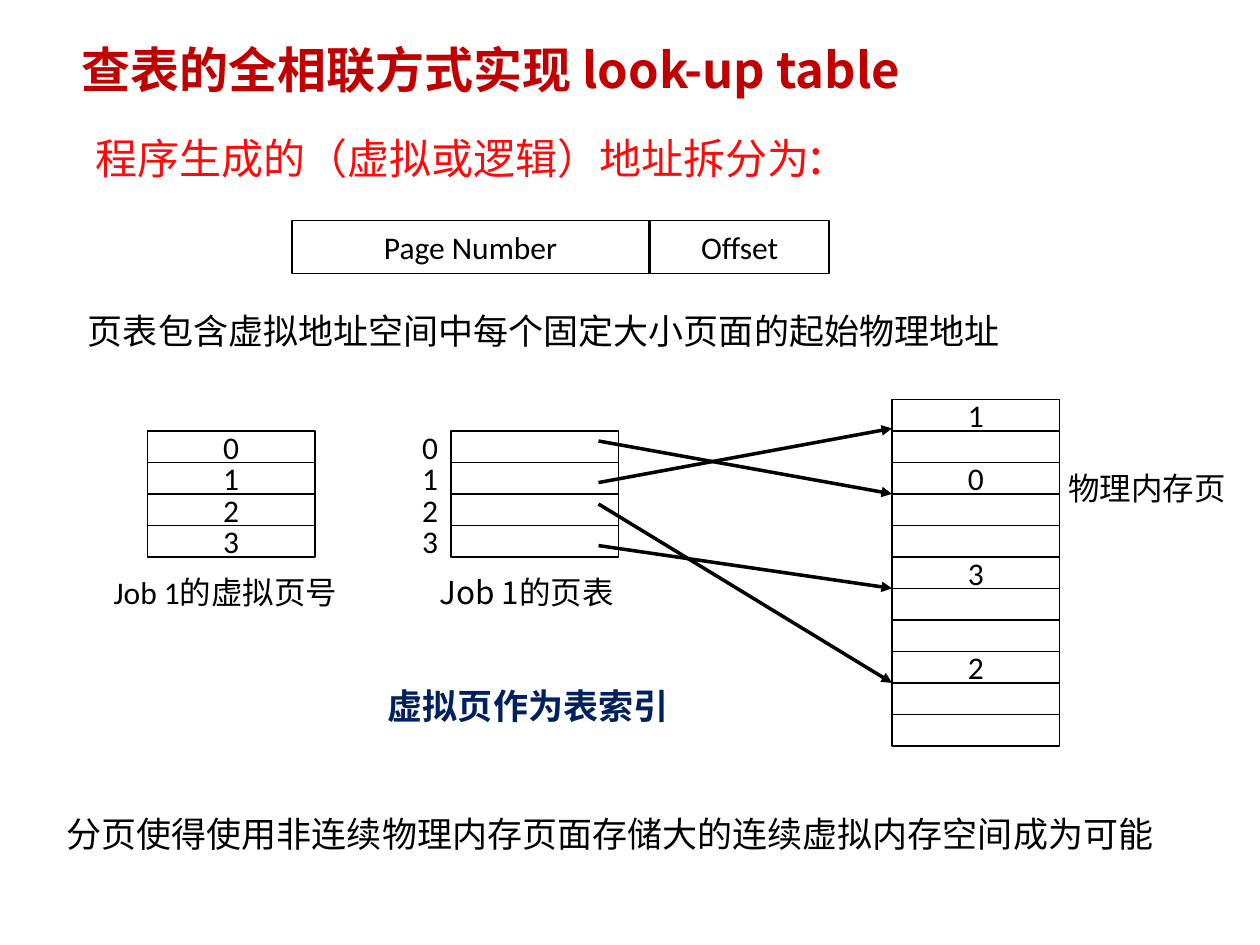
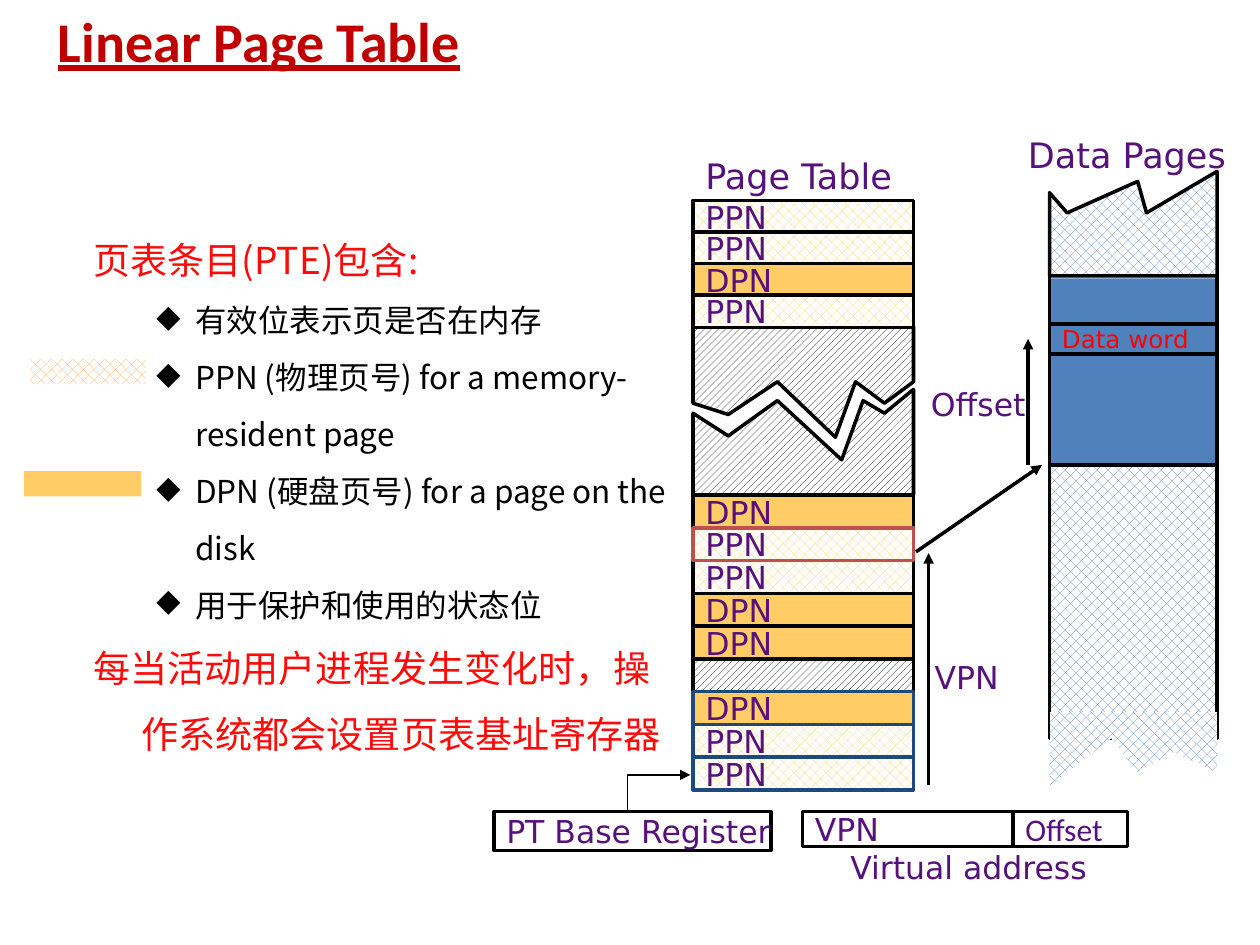
from lxml import etree
from pptx import Presentation
from pptx.dml.color import RGBColor
from pptx.enum.dml import MSO_PATTERN
from pptx.enum.shapes import MSO_CONNECTOR, MSO_SHAPE
from pptx.enum.text import MSO_ANCHOR, MSO_AUTO_SIZE, PP_ALIGN
from pptx.oxml.ns import qn
from pptx.util import Inches, Pt

BLACK = RGBColor(0x00, 0x00, 0x00)
WHITE = RGBColor(0xFF, 0xFF, 0xFF)
TITLE_RED = RGBColor(0xC0, 0x00, 0x00)
HEADING_RED = RGBColor(0xFF, 0x09, 0x09)
WORD_RED = RGBColor(0xFF, 0x00, 0x00)
NAVY = RGBColor(0x00, 0x20, 0x60)
PURPLE = RGBColor(0x56, 0x12, 0x7A)
DATA_BLUE = RGBColor(0x4F, 0x81, 0xBD)
ORANGE = RGBColor(0xFF, 0xCC, 0x66)
DEEP_ORANGE = RGBColor(0xFF, 0xA7, 0x4F)
ROW_BLUE = RGBColor(0x1F, 0x49, 0x7D)
ROW_RED = RGBColor(0xC0, 0x50, 0x4D)

RECTANGLE = MSO_SHAPE.RECTANGLE
STRAIGHT = MSO_CONNECTOR.STRAIGHT
DOTS, HATCH = map(MSO_PATTERN.from_xml, ("pct40", "wdUpDiag"))
LEFT, CENTER = PP_ALIGN.LEFT, PP_ALIGN.CENTER
TOP, MIDDLE = MSO_ANCHOR.TOP, MSO_ANCHOR.MIDDLE
NO_FIT, GROW = MSO_AUTO_SIZE.NONE, MSO_AUTO_SIZE.SHAPE_TO_FIT_TEXT

CJK = "Noto Sans CJK SC"
LATIN = "Calibri"
DEJAVU = "DejaVu Sans"
PAGE_FILL = (DOTS, ORANGE)
DATA_FILL = (DOTS, DATA_BLUE)
GAP_FILL = (HATCH, BLACK)
MARGINS = ("margin_left", "margin_top", "margin_right", "margin_bottom")
LABEL = {"name": DEJAVU, "size": Pt(18)}
BODY = {"name": CJK, "size": Pt(20)}
CELL = {"name": LATIN, "size": Pt(18)}


def apply(target, values):
    """Set each attribute named in the dict of values."""
    for name, value in values.items():
        setattr(target, name, value)


def add_run(paragraph, text, style, color):
    """Append a formatted run that also names the East Asian font."""
    run = paragraph.add_run()
    run.text = text
    apply(run.font, style)
    run.font.color.rgb = color
    latin = run.font._element.find(qn("a:latin"))
    latin.addnext(etree.Element(qn("a:ea"), typeface=CJK))


def write(shape, text, style, color=BLACK, align=LEFT, anchor=TOP,
          wrap=True, fit=NO_FIT, margins=None):
    """Write one formatted paragraph into a shape."""
    frame = shape.text_frame
    apply(frame, {"word_wrap": wrap, "auto_size": fit, "vertical_anchor": anchor})
    if margins is not None:
        apply(frame, dict.fromkeys(MARGINS, Inches(margins)))
    paragraph = frame.paragraphs[0]
    paragraph.alignment = align
    add_run(paragraph, text, style, color)
    return paragraph


def add_text(slide, box, text, style, color=BLACK, **layout):
    """Add a text box and return its paragraph."""
    shape = slide.shapes.add_textbox(*map(Inches, box))
    return write(shape, text, style, color, **layout)


def add_label(slide, box, text, size=18):
    """Add an unwrapped purple label."""
    add_text(slide, box, text, {**LABEL, "size": Pt(size)}, PURPLE,
             anchor=MIDDLE, wrap=False, fit=GROW)


def add_title(slide, box, text, style, margins):
    """Place and format the title placeholder."""
    title = slide.shapes.title
    apply(title, dict(zip(("left", "top", "width", "height"), map(Inches, box))))
    write(title, text, {"bold": True, **style}, TITLE_RED, margins=margins)


def paint(shape, fill, line, weight):
    """Give a shape a solid, patterned or empty fill and a line."""
    shape.shadow.inherit = False
    if fill is None:
        shape.fill.background()
    elif isinstance(fill, RGBColor):
        shape.fill.solid()
        shape.fill.fore_color.rgb = fill
    else:
        shape.fill.patterned()
        shape.fill.pattern, shape.fill.fore_color.rgb = fill
        shape.fill.back_color.rgb = WHITE
    if line is None:
        shape.line.fill.background()
    else:
        shape.line.color.rgb = line
        shape.line.width = Pt(weight)
    return shape


def add_box(slide, box, fill=None, line=BLACK, weight=2):
    """Add a painted rectangle."""
    shape = slide.shapes.add_shape(RECTANGLE, *map(Inches, box))
    return paint(shape, fill, line, weight)


def add_outline(slide, points, fill=None, line=BLACK, weight=2, close=True):
    """Add a painted outline through the points."""
    points = [(Inches(x), Inches(y)) for x, y in points]
    builder = slide.shapes.build_freeform(*points[0])
    builder.add_line_segments(points[1:], close=close)
    return paint(builder.convert_to_shape(), fill, line, weight)


def add_arrowhead(shape):
    """Put a triangle at the end of a line."""
    line = shape._element.spPr.find(qn("a:ln"))
    etree.SubElement(line, qn("a:tailEnd"), type="triangle")


def add_arrow(slide, start, end):
    """Add a straight black arrow."""
    arrow = slide.shapes.add_connector(STRAIGHT, *map(Inches, (*start, *end)))
    arrow.line.color.rgb = BLACK
    arrow.line.width = Pt(2)
    add_arrowhead(arrow)
    etree.SubElement(arrow._element.spPr, qn("a:effectLst"))


def add_cell(slide, box, text="", fill=WHITE, line=BLACK):
    """Add a thin-lined cell with centred text."""
    shape = add_box(slide, box, fill, line, 1)
    if text:
        write(shape, text, CELL, align=CENTER, anchor=MIDDLE, wrap=False, margins=0)


def add_stack(slide, left, top, width, labels, line=BLACK):
    """Stack equal cells downwards."""
    height = 0.25
    for index, text in enumerate(labels):
        add_cell(slide, (left, top + index * height, width, height), text, line=line)


def add_address_split(slide, left, top):
    """Draw the page number and offset fields."""
    add_cell(slide, (left, top, 2.83, 0.42), "Page Number", None)
    add_cell(slide, (left + 2.84, top, 1.42, 0.42), "Offset", None)


def add_page_mapping(slide, left, top):
    """Draw virtual pages, the page table, memory and the arrows between."""
    pages = "0123"
    add_stack(slide, left, top + 0.25, 1.33, pages)
    add_stack(slide, left + 2.08, top + 0.25, 0.33, pages, None)
    add_stack(slide, left + 2.41, top + 0.25, 1.33, [""] * len(pages))
    for start, end in ((0.33, 0.75), (0.66, 0.23), (0.83, 2.25), (1.16, 1.5)):
        add_arrow(slide, (left + 3.58, top + start), (left + 5.91, top + end))
    frames = {0: "1", 2: "0", 5: "3", 8: "2"}
    add_stack(slide, left + 5.91, top, 1.33, [frames.get(row, "") for row in range(11)])
    add_text(slide, (left - 0.59, top + 1.33, 2.42, 0.4), "Job 1的虚拟页号",
             CELL, align=CENTER)
    caption = add_text(slide, (left + 2.21, top + 1.33, 1.6, 0.4), "Job 1的页表",
                       {**CELL, "name": CJK}, align=CENTER)
    caption.line_spacing = Pt(21.7)
    add_text(slide, (left + 7.04, top + 0.5, 1.79, 0.4), "物理内存页",
             {**CELL, "name": CJK}, align=CENTER)


def build_lookup_slide(slide):
    """Build the look-up table slide."""
    add_title(slide, (0.65, 0.31, 8.7, 0.49), "查表的全相联方式实现 look-up table",
              {"name": CJK, "size": Pt(28)}, 0)
    heading = add_text(slide, (0.76, 1, 8.4, 0.94), "程序生成的（虚拟或逻辑）地址拆分为",
                       {"name": CJK, "size": Pt(24)}, HEADING_RED, margins=0)
    add_run(heading, ":", {"name": CJK, "size": Pt(28)}, HEADING_RED)
    add_address_split(slide, 2.32, 1.75)
    add_text(slide, (0.6, 2.41, 7.83, 0.55),
             "页表包含虚拟地址空间中每个固定大小页面的起始物理地址", BODY)
    add_page_mapping(slide, 1.17, 3.17)
    add_text(slide, (2.98, 5.38, 2.52, 0.44), "虚拟页作为表索引",
             {**BODY, "bold": True}, NAVY, wrap=False, fit=GROW)
    add_text(slide, (0.43, 6.4, 9.33, 0.41),
             "分页使得使用非连续物理内存页面存储大的连续虚拟内存空间成为可能", BODY)


def add_field(slide, box, text, fill=WHITE, line=BLACK, style=LABEL, color=PURPLE):
    """Add a heavy-lined box with left-aligned text."""
    shape = add_box(slide, box, fill, line)
    if text:
        write(shape, text, style, color, anchor=MIDDLE, wrap=False)


def add_entries(slide, left, top, step, entries):
    """Stack page table entries, coloured outlines last."""
    fills = {"PPN": PAGE_FILL, "DPN": ORANGE, "": GAP_FILL}
    rows = sorted(enumerate(entries), key=lambda row: row[1][1] != BLACK)
    for index, (text, line) in rows:
        add_field(slide, (left, top + index * step, 1.75, 0.26), text, fills[text], line)


def add_page_table(slide, left, top):
    """Draw the page table with its torn middle."""
    add_label(slide, (left, top - 0.41, 1.72, 0.43), "Page Table", 20)
    right = left + 1.75
    lower = [(0, 2.34), (1.75, 2.34), (1.75, 1.5), (1.52, 1.69), (1.35, 1.59),
             (1.18, 2.06), (0.67, 1.59), (0.28, 1.87), (0, 1.69)]
    upper = [(0, 1.61), (0, 1), (1.75, 1), (1.75, 1.44), (1.52, 1.61),
             (1.29, 1.44), (1.13, 1.88), (0.67, 1.44), (0.28, 1.7)]
    for points in (lower, upper):
        add_outline(slide, [(left + x, top + y) for x, y in points], GAP_FILL)
    add_entries(slide, left, top, 0.25,
                [(text, BLACK) for text in ("PPN", "PPN", "DPN", "PPN")])
    add_entries(slide, left, top + 2.34, 0.26, [
        ("DPN", BLACK), ("PPN", ROW_RED), ("PPN", BLACK), ("DPN", BLACK), ("DPN", BLACK),
        ("", BLACK), ("DPN", ROW_BLUE), ("PPN", ROW_BLUE), ("PPN", ROW_BLUE)])
    add_arrow(slide, (right + 0.12, top + 4.64), (right + 0.12, top + 2.8))
    add_label(slide, (right + 0.07, top + 3.58, 0.71, 0.4), "VPN")


def add_data_pages(slide, left, top):
    """Draw the torn column of data pages and its offset arrow."""
    add_box(slide, (left + 0.01, top + 0.85, 1.31, 1.47), DATA_BLUE, None)
    add_box(slide, (left, top + 0.33, 1.33, 2))
    add_field(slide, (left, top + 1.21, 1.33, 0.24), "Data word", None,
              style={**LABEL, "size": Pt(14)}, color=WORD_RED)
    add_box(slide, (left, top + 2.33, 1.33, 2.17), DATA_FILL)
    bottom = [(0, 4.29), (0, 4.88), (0.49, 4.5), (0.7, 4.77), (0.98, 4.61),
              (1.33, 4.77), (1.33, 4.29)]
    peak = [(0, 0.83), (1.33, 0.83), (1.33, 0), (0.77, 0.33), (0.7, 0.08),
            (0.14, 0.33), (0, 0.17)]
    for points, line in ((bottom, None), (peak, BLACK)):
        add_outline(slide, [(left + x, top + y) for x, y in points], DATA_FILL, line)
    add_label(slide, (left - 0.27, top - 0.35, 1.77, 0.43), "Data Pages", 20)
    add_arrow(slide, (left - 0.17, top + 2.33), (left - 0.17, top + 1.33))
    add_label(slide, (left - 1.04, top + 1.65, 0.95, 0.4), "Offset")


def add_registers(slide, left, top):
    """Draw the base register, its pointer and the virtual address."""
    add_field(slide, (left, top, 2.2, 0.31), "PT Base Register")
    pointer = add_outline(slide, [(left + 1.06, top - 0.01), (left + 1.06, top - 0.29),
                                  (left + 1.56, top - 0.29)], weight=0.75, close=False)
    add_arrowhead(pointer)
    add_field(slide, (left + 2.45, top, 1.67, 0.28), "VPN")
    add_field(slide, (left + 4.12, top, 0.91, 0.28), "Offset", style=CELL)
    add_label(slide, (left + 2.73, top + 0.24, 2.09, 0.4), "Virtual address")


def add_entry_notes(slide, box):
    """Write the red statements and the bulleted entry contents."""
    frame = slide.shapes.add_textbox(*map(Inches, box)).text_frame
    apply(frame, {"word_wrap": True, **dict.fromkeys(MARGINS, 0)})
    notes = [("页表条目(PTE)包含:", False), ("有效位表示页是否在内存", True),
             ("PPN (物理页号) for a memory-resident page", True),
             ("DPN (硬盘页号) for a page on the disk", True),
             ("用于保护和使用的状态位", True),
             ("每当活动用户进程发生变化时，操作系统都会设置页表基址寄存器", False)]
    for index, (text, bulleted) in enumerate(notes):
        paragraph = frame.add_paragraph() if index else frame.paragraphs[0]
        size, color, spacing, margin, indent = (
            (18, BLACK, 32.5, 0.81, -0.31) if bulleted
            else (21.2, HEADING_RED, 38, 0.38, -0.38))
        properties = paragraph._p.get_or_add_pPr()
        properties.set("marL", str(Inches(margin)))
        properties.set("indent", str(Inches(indent)))
        if bulleted:
            etree.SubElement(properties, qn("a:buChar"), char="◆")
        paragraph.line_spacing = Pt(spacing)
        add_run(paragraph, text, {"name": CJK, "size": Pt(size)}, color)


def build_linear_slide(slide):
    """Build the linear page table slide."""
    add_title(slide, (0.36, 0, 7.83, 0.63), "Linear Page Table",
              {"name": LATIN, "size": Pt(32), "underline": True}, 0.1)
    slide.shapes.title.text_frame.margin_top = Inches(0.05)
    add_registers(slide, 3.92, 6.44)
    add_data_pages(slide, 8.33, 1.36)
    add_page_table(slide, 5.5, 1.59)
    add_arrow(slide, (7.27, 4.38), (8.27, 3.69))
    add_entry_notes(slide, (0.74, 1.71, 4.58, 4.27))
    add_box(slide, (0.24, 2.85, 0.92, 0.2), (DOTS, DEEP_ORANGE), None)
    add_box(slide, (0.19, 3.74, 0.93, 0.2), ORANGE, None)


def main():
    """Build and save the presentation."""
    presentation = Presentation()
    presentation.slide_width, presentation.slide_height = Inches(10), Inches(7.5)
    for build in (build_lookup_slide, build_linear_slide):
        build(presentation.slides.add_slide(presentation.slide_layouts[5]))
    presentation.save("out.pptx")


if __name__ == "__main__":
    main()
